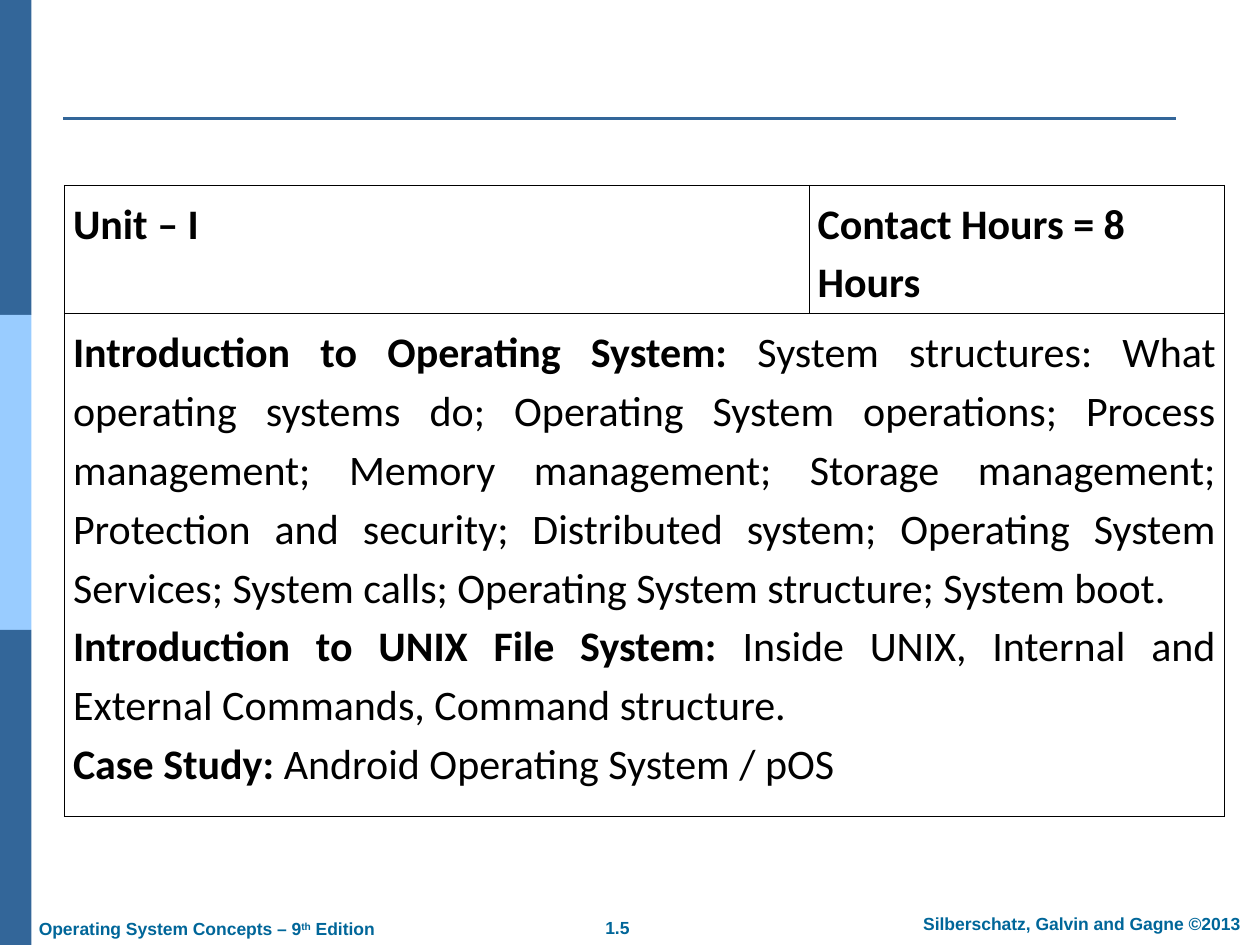
from lxml import etree
from pptx import Presentation
from pptx.dml.color import RGBColor
from pptx.enum.shapes import MSO_CONNECTOR, MSO_SHAPE
from pptx.enum.text import PP_ALIGN
from pptx.oxml.ns import qn
from pptx.util import Inches, Pt

RECTANGLE = MSO_SHAPE.RECTANGLE
STRAIGHT = MSO_CONNECTOR.STRAIGHT
LEFT, CENTER, JUSTIFY = PP_ALIGN.LEFT, PP_ALIGN.CENTER, PP_ALIGN.JUSTIFY

COLORS = {
    "band": "336699",
    "band_light": "99CCFF",
    "footer": "006699",
    "text": "000000",
    "border": "000000",
}

UNIT = "Unit – I"
CONTACT_HOURS = "Contact Hours = 8 Hours"
TOPICS = [
    ("Introduction to Operating System:",
     "System structures: What operating systems do; Operating System operations; "
     "Process management; Memory management; Storage management; Protection and "
     "security; Distributed system; Operating System Services; System calls; "
     "Operating System structure; System boot."),
    ("Introduction to UNIX File System:",
     "Inside UNIX, Internal and External Commands, Command structure."),
    ("Case Study:", "Android Operating System / pOS"),
]
# Each footer: left, top, width, alignment, runs as (text, superscript)
FOOTERS = [
    (4.41, 7.23, 0.98, CENTER, [("1.5", False)]),
    (7.1, 7.2, 2.97, CENTER, [("Silberschatz, Galvin and Gagne ©2013", False)]),
    (0.21, 7.24, 3.1, LEFT,
     [("Operating System Concepts – 9", False), ("th", True), (" Edition", False)]),
]
SIDE_BANDS = ["band", "band_light", "band"]
COLUMN_WIDTHS = [5.91, 3.3]
ROW_HEIGHTS = [0.92, 3.99]
BORDER_WIDTH = Pt(0.45)


def rgb(name):
    return RGBColor.from_string(COLORS[name])


def add_run(paragraph, text, font_name, size, color, bold):
    run = paragraph.add_run()
    run.text = text
    run.font.name = font_name
    run.font.size = Pt(size)
    run.font.bold = bold
    run.font.color.rgb = rgb(color)
    return run


def add_side_bands(slide):
    height = 7.5 / len(SIDE_BANDS)
    for i, color in enumerate(SIDE_BANDS):
        band = slide.shapes.add_shape(
            RECTANGLE, 0, Inches(i * height), Inches(0.25), Inches(height))
        band.shadow.inherit = False
        band.fill.solid()
        band.fill.fore_color.rgb = rgb(color)
        band.line.fill.background()


def add_title_rule(slide):
    rule = slide.shapes.add_connector(
        STRAIGHT, Inches(0.5), Inches(0.94), Inches(9.33), Inches(0.94))
    rule.line.color.rgb = rgb("band")
    rule.line.width = Pt(1.5)
    etree.SubElement(rule._element.spPr, qn("a:effectLst"))


def add_footers(slide):
    for left, top, width, alignment, runs in FOOTERS:
        footer = slide.shapes.add_textbox(
            Inches(left), Inches(top), Inches(width), Inches(0.27))
        footer.text_frame.word_wrap = True
        paragraph = footer.text_frame.paragraphs[0]
        paragraph.alignment = alignment
        for text, superscript in runs:
            run = add_run(paragraph, text, "Arial", 10, "footer", True)
            if superscript:
                run.font._element.set("baseline", "30000")


def style_cell(cell):
    """Clear the fill, set the margins and draw all four borders."""
    cell.margin_left = cell.margin_right = Inches(0.07)
    cell.margin_top = cell.margin_bottom = Inches(0.05)
    properties = cell._tc.get_or_add_tcPr()
    for side in ("lnL", "lnR", "lnT", "lnB"):
        border = etree.SubElement(properties, qn(f"a:{side}"), w=str(BORDER_WIDTH))
        fill = etree.SubElement(border, qn("a:solidFill"))
        etree.SubElement(fill, qn("a:srgbClr"), val=COLORS["border"])
    cell.fill.background()


def write_cell(cell, paragraphs, alignment):
    """Write (bold heading, plain body) pairs, one paragraph each."""
    frame = cell.text_frame
    for i, (heading, body) in enumerate(paragraphs):
        paragraph = frame.add_paragraph() if i else frame.paragraphs[0]
        paragraph.alignment = alignment
        paragraph.line_spacing = 1.15
        add_run(paragraph, heading, "Calibri", 24, "text", True)
        if body:
            add_run(paragraph, " " + body, "Calibri", 24, "text", False)


def add_syllabus(slide):
    table = slide.shapes.add_table(
        len(ROW_HEIGHTS), len(COLUMN_WIDTHS), Inches(0.51), Inches(1.47),
        Inches(sum(COLUMN_WIDTHS)), Inches(sum(ROW_HEIGHTS))).table
    table.first_row = table.horz_banding = False
    for column, width in zip(table.columns, COLUMN_WIDTHS):
        column.width = Inches(width)
    for row, height in zip(table.rows, ROW_HEIGHTS):
        row.height = Inches(height)
    for cell in table.iter_cells():
        style_cell(cell)
    table.cell(1, 0).merge(table.cell(1, 1))
    write_cell(table.cell(0, 0), [(UNIT, "")], LEFT)
    write_cell(table.cell(0, 1), [(CONTACT_HOURS, "")], LEFT)
    write_cell(table.cell(1, 0), TOPICS, JUSTIFY)


def main():
    presentation = Presentation()
    presentation.slide_width = Inches(10)
    presentation.slide_height = Inches(7.5)
    slide = presentation.slides.add_slide(presentation.slide_layouts[6])
    add_side_bands(slide)
    add_title_rule(slide)
    add_footers(slide)
    add_syllabus(slide)
    presentation.save("out.pptx")


if __name__ == "__main__":
    main()
